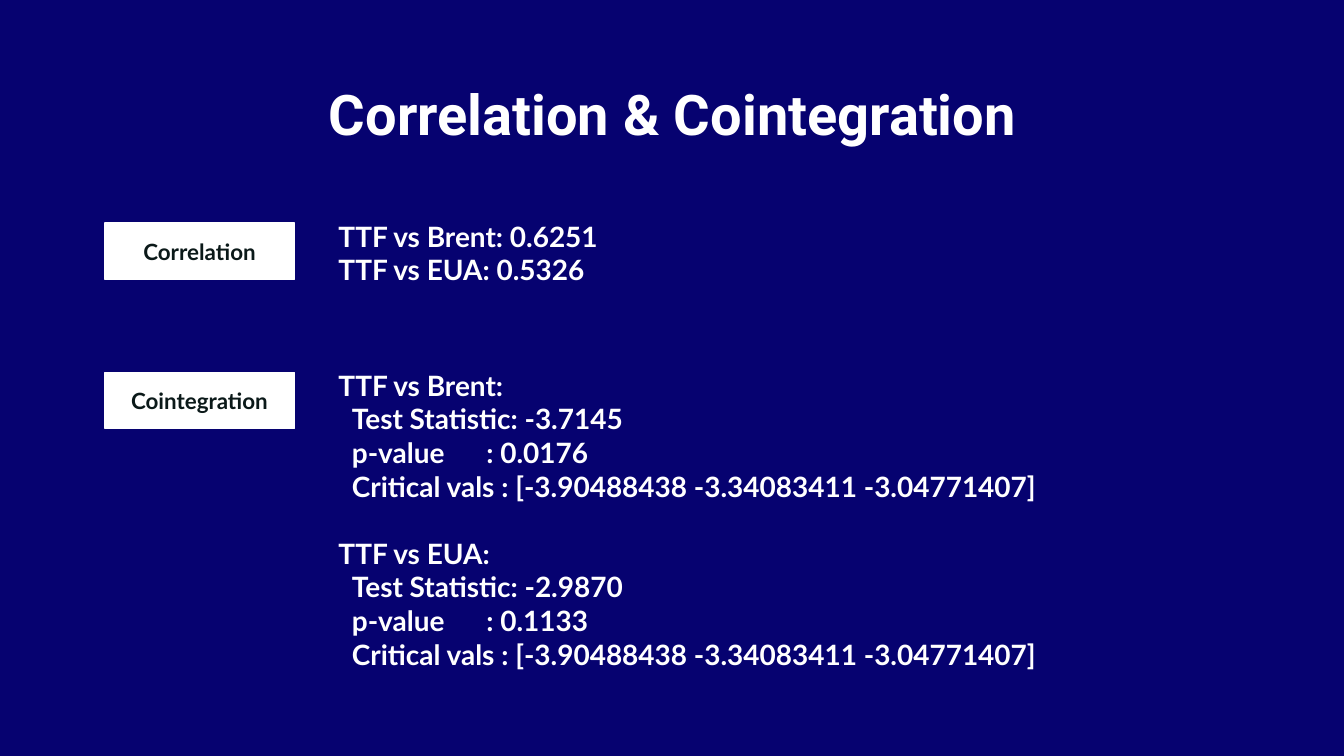
from pptx import Presentation
from pptx.dml.color import RGBColor
from pptx.enum.shapes import MSO_SHAPE
from pptx.enum.text import MSO_ANCHOR, PP_ALIGN
from pptx.oxml.ns import qn
from pptx.util import Inches, Pt
from lxml.etree import SubElement

NAVY = RGBColor(0x06, 0x02, 0x70)
WHITE = RGBColor(0xFF, 0xFF, 0xFF)
INK = RGBColor(0x0B, 0x19, 0x19)

LEFT = 0.78
LABEL_WIDTH, LABEL_HEIGHT = 1.41, 0.42
LABEL_DROP = 0.13
FINDINGS_OFFSET = 1.64
DETAIL_INDENT = 0.1
COLON_STOP = 1.18

CRITICAL_VALUES = "Critical vals : [-3.90488438 -3.34083411 -3.04771407]"
CORRELATIONS = [("TTF vs Brent: 0.6251", []), ("TTF vs EUA: 0.5326", [])]
COINTEGRATIONS = [
    (f"{pair}:", [f"Test Statistic: {statistic}", f"p-value\t: {p_value}", CRITICAL_VALUES])
    for pair, statistic, p_value in [
        ("TTF vs Brent", "-3.7145", "0.0176"),
        ("TTF vs EUA", "-2.9870", "0.1133"),
    ]
]


def write(paragraph, text, font="Lato", size=15, color=WHITE, align=PP_ALIGN.LEFT,
          indent=0, tab=None, before=0):
    paragraph.alignment = align
    paragraph.space_before = Pt(before)
    properties = paragraph._p.get_or_add_pPr()
    properties.set("marL", str(Inches(indent)))
    properties.set("indent", "0")
    if tab:
        stops = SubElement(properties, qn("a:tabLst"))
        SubElement(stops, qn("a:tab"), pos=str(Inches(tab)), algn="l")
    run = paragraph.add_run()
    run.text = text
    run.font.name = font
    run.font.size = Pt(size)
    run.font.bold = True
    run.font.color.rgb = color


def set_frame(frame, anchor):
    frame.word_wrap = True
    frame.vertical_anchor = anchor
    frame.margin_left = frame.margin_right = Inches(0.1)
    frame.margin_top = frame.margin_bottom = Inches(0.1)


def add_title(slide, left, top, width, height):
    title = slide.shapes.title
    title.left, title.top = Inches(left), Inches(top)
    title.width, title.height = Inches(width), Inches(height)
    set_frame(title.text_frame, MSO_ANCHOR.TOP)
    write(title.text_frame.paragraphs[0], "Correlation & Cointegration",
          font="Roboto", size=30, align=PP_ALIGN.CENTER)


def add_section(slide, name, findings, left, top, width, height, gap=0):
    label = slide.shapes.add_shape(
        MSO_SHAPE.RECTANGLE, Inches(left), Inches(top + LABEL_DROP),
        Inches(LABEL_WIDTH), Inches(LABEL_HEIGHT))
    label.shadow.inherit = False
    label.fill.solid()
    label.fill.fore_color.rgb = WHITE
    label.line.color.rgb = WHITE
    label.line.width = Pt(0.75)
    set_frame(label.text_frame, MSO_ANCHOR.MIDDLE)
    write(label.text_frame.paragraphs[0], name, size=12, color=INK, align=PP_ALIGN.CENTER)

    results = slide.shapes.add_textbox(
        Inches(left + FINDINGS_OFFSET), Inches(top),
        Inches(width - FINDINGS_OFFSET), Inches(height)).text_frame
    set_frame(results, MSO_ANCHOR.TOP)
    for index, (heading, details) in enumerate(findings):
        paragraph = results.add_paragraph() if index else results.paragraphs[0]
        write(paragraph, heading, before=gap if index else 0)
        for detail in details:
            write(results.add_paragraph(), detail, indent=DETAIL_INDENT,
                  tab=COLON_STOP if "\t" in detail else None)


def main():
    deck = Presentation()
    deck.slide_width = Inches(10)
    deck.slide_height = deck.slide_width * 9 // 16
    slide = deck.slides.add_slide(deck.slide_layouts[5])
    slide.background.fill.solid()
    slide.background.fill.fore_color.rgb = NAVY

    add_title(slide, 0.79, 0.49, 8.43, 0.63)
    add_section(slide, "Correlation", CORRELATIONS, LEFT, 1.53, 8.86, 0.69)
    add_section(slide, "Cointegration", COINTEGRATIONS, LEFT, 2.64, 8.86, 0.89, gap=18)
    deck.save("out.pptx")


if __name__ == "__main__":
    main()
